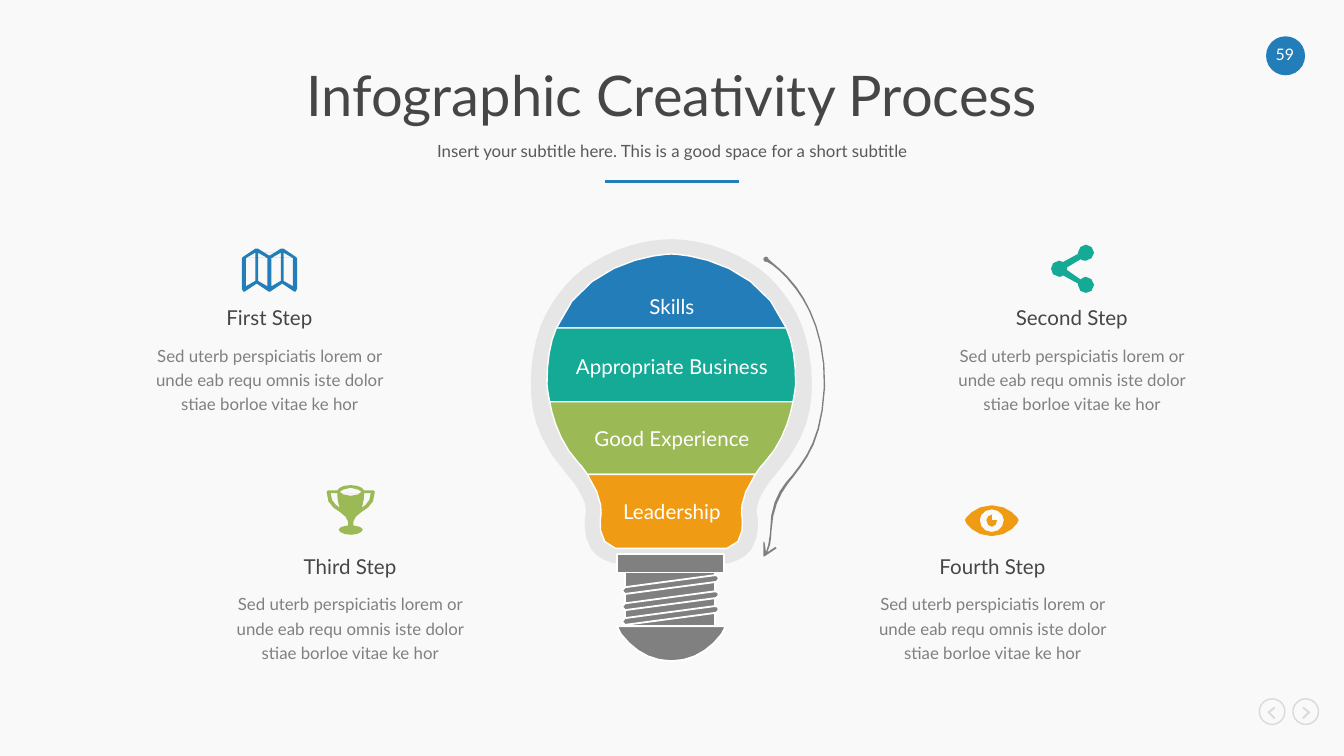
from dataclasses import dataclass
from math import ceil, dist, sqrt

from lxml.etree import SubElement
from pptx import Presentation
from pptx.dml.color import RGBColor
from pptx.enum.shapes import MSO_CONNECTOR, MSO_SHAPE
from pptx.enum.text import MSO_ANCHOR, MSO_AUTO_SIZE, PP_ALIGN
from pptx.oxml.ns import qn
from pptx.util import Inches, Pt


@dataclass(frozen=True)
class Theme:
    font: str = "Lato"
    paper: str = "F9F9F9"
    white: str = "FFFFFF"
    heading: str = "464646"
    subtitle: str = "595959"
    gray: str = "808080"
    halo: str = "E6E6E6"
    nav: str = "D9D9D9"
    blue: str = "237DB9"
    teal: str = "14AA96"
    green: str = "9BB955"
    orange: str = "F09B14"
    title_size: float = 30
    label_size: float = 11
    body_size: float = 9
    page_size: float = 8.5


theme = Theme()
WIDTH, HEIGHT = 10, 10 * 9 / 16
CENTER = WIDTH / 2

deck = Presentation()
deck.slide_width, deck.slide_height = Inches(WIDTH), Inches(HEIGHT)
slide = deck.slides.add_slide(deck.slide_layouts[0])
shapes = slide.shapes
slide.background.fill.solid()
slide.background.fill.fore_color.rgb = RGBColor.from_string(theme.paper)


def write(text, box, size, color, leading=None, holder=None):
    """Centre text in box (inches), in a new text box or in a placeholder."""
    left, top, width, height = map(Inches, box)
    target = holder or shapes.add_textbox(left, top, width, height)
    target.left, target.top, target.width, target.height = left, top, width, height
    frame = target.text_frame
    frame.word_wrap = True
    frame.auto_size = MSO_AUTO_SIZE.NONE if holder else MSO_AUTO_SIZE.SHAPE_TO_FIT_TEXT
    frame.vertical_anchor = MSO_ANCHOR.MIDDLE if holder else MSO_ANCHOR.TOP
    frame.margin_left = frame.margin_top = frame.margin_right = frame.margin_bottom = 0
    frame.text = text
    paragraph = frame.paragraphs[0]
    paragraph.alignment = PP_ALIGN.CENTER
    paragraph.space_before = Pt(0)
    if leading:
        paragraph.line_spacing = leading
        paragraph.space_after = Pt(0 if holder else 12)
    paragraph.font.name, paragraph.font.size = theme.font, Pt(size)
    paragraph.font.color.rgb = RGBColor.from_string(color)


def draw(contours, fill, border=None, axis=None):
    """Draw contours of points (x, y) and cubic curves (x1, y1, x2, y2, x, y).

    With an axis, each contour is a left half and is completed by its mirror image.
    """
    builder = None
    for contour in contours:
        points = [contour[0]]
        for segment in contour[1:]:
            if len(segment) == 2:
                points.append(segment)
                continue
            knots = [points[-1], segment[:2], segment[2:4], segment[4:]]
            steps = ceil(6 * sqrt(sum(map(dist, knots, knots[1:]))))
            for t in (step / steps for step in range(1, steps + 1)):
                weights = ((1 - t) ** 3, 3 * t * (1 - t) ** 2, 3 * t * t * (1 - t), t ** 3)
                points.append(tuple(sum(w * k[i] for w, k in zip(weights, knots)) for i in (0, 1)))
        if axis:
            points += [(2 * axis - x, y) for x, y in reversed(points)]
        vertices = [(Inches(x), Inches(y)) for x, y in points]
        if builder is None:
            builder = shapes.build_freeform(*vertices[0], scale=1.0)
        else:
            builder.move_to(*vertices[0])
        builder.add_line_segments(vertices[1:], close=True)
    shape = builder.convert_to_shape()
    shape.shadow.inherit = False
    shape.fill.solid()
    shape.fill.fore_color.rgb = RGBColor.from_string(fill)
    if border:
        shape.line.color.rgb = RGBColor.from_string(theme.white)
        shape.line.width = Pt(border)
    else:
        shape.line.fill.background()


# Heading
MARGIN = 0.65
write("Infographic Creativity Process", (MARGIN, 0.48, WIDTH - 2 * MARGIN, 0.5),
      theme.title_size, theme.heading, 0.9, shapes.title)
write("Insert your subtitle here. This is a good space for a short subtitle",
      (MARGIN, 1.01, WIDTH - 2 * MARGIN, 0.25), theme.body_size, theme.subtitle, 0.9,
      slide.placeholders[1])
rule = shapes.add_connector(MSO_CONNECTOR.STRAIGHT, Inches(CENTER - 0.5), Inches(1.35),
                            Inches(CENTER + 0.5), Inches(1.35))
rule.line.color.rgb = RGBColor.from_string(theme.blue)
rule.line.width = Pt(1.5)
SubElement(rule._element.spPr, qn("a:effectLst"))

# Steps
TEXT_WIDTH = 1.95
ROWS = (2.26, 4.11)
for name, left, top in (("First", 1.03, ROWS[0]), ("Third", 1.63, ROWS[1]),
                        ("Second", 7, ROWS[0]), ("Fourth", 6.41, ROWS[1])):
    write(f"{name} Step", (left, top, TEXT_WIDTH, 0.2), theme.label_size, theme.heading, Pt(14))
    write("Sed uterb perspiciatis lorem or unde eab requ omnis iste dolor stiae borloe vitae ke hor",
          (left, top + 0.28, TEXT_WIDTH, 0.55), theme.body_size, theme.gray, Pt(13))

# Bulb
BULB_AXIS = 4.995
halo = [(4.99, 1.78), (4.89, 1.78, 4.78, 1.8, 4.68, 1.83), (4.55, 1.87, 4.44, 1.93, 4.34, 2),
        (4.22, 2.09, 4.13, 2.21, 4.06, 2.34), (3.99, 2.48, 3.95, 2.66, 3.95, 2.85),
        (3.95, 3.03, 3.97, 3.24, 4.21, 3.52), (4.3, 3.62, 4.33, 3.69, 4.35, 3.74),
        (4.36, 3.78, 4.36, 3.81, 4.36, 3.81), (4.35, 3.85, 4.33, 3.98, 4.4, 4.09),
        (4.44, 4.14, 4.49, 4.17, 4.56, 4.19)]
draw([halo], theme.halo, axis=BULB_AXIS)
bands = (
    ("Skills", 2.18, theme.blue, [(4.99, 1.89), (4.99, 1.89, 4.36, 1.9, 4.14, 2.44)]),
    ("Appropriate Business", 2.62, theme.teal,
     [(4.14, 2.44), (4.09, 2.55, 4.07, 2.69, 4.07, 2.85), (4.07, 2.85, 4.07, 2.9, 4.09, 2.99)]),
    ("Good Experience", 3.16, theme.green,
     [(4.09, 2.99), (4.11, 3.11, 4.17, 3.3, 4.3, 3.44), (4.33, 3.47, 4.35, 3.5, 4.37, 3.53)]),
    ("Leadership", 3.7, theme.orange,
     [(4.37, 3.53), (4.5, 3.72, 4.47, 3.84, 4.47, 3.84), (4.47, 3.84, 4.43, 4.05, 4.58, 4.08)]),
)
for label, top, color, half in bands:
    draw([half], color, 0.75, BULB_AXIS)
    write(label, (CENTER - 0.78, top, 1.56, 0.2), theme.label_size, theme.white, Pt(14))

# Page badge, navigation rings and plain parts of the bulb's socket
for preset, box, fill, border, weight in (
    (MSO_SHAPE.OVAL, (9.42, 0.27, 0.29, 0.29), theme.blue, None, 0),
    (MSO_SHAPE.OVAL, (9.37, 5.2, 0.19, 0.19), None, theme.nav, 0.75),
    (MSO_SHAPE.OVAL, (9.62, 5.2, 0.19, 0.19), None, theme.nav, 0.75),
    (MSO_SHAPE.RECTANGLE, (4.59, 4.12, 0.8, 0.14), theme.gray, theme.white, 1),
    (MSO_SHAPE.RECTANGLE, (4.65, 4.26, 0.67, 0.4), theme.gray, theme.white, 1),
):
    part = shapes.add_shape(preset, *map(Inches, box))
    part.shadow.inherit = False
    for paint, color in ((part.fill, fill), (part.line.fill, border)):
        if color:
            paint.solid()
            paint.fore_color.rgb = RGBColor.from_string(color)
        else:
            paint.background()
    if border:
        part.line.width = Pt(weight)
write("59", (9.44, 0.33, 0.24, 0.14), theme.page_size, theme.white)
previous = [(9.48, 5.26), (9.49, 5.27), (9.45, 5.3), (9.49, 5.34), (9.48, 5.35), (9.43, 5.3)]
draw([previous], theme.nav)
draw([[(2 * 9.59 - x, y) for x, y in previous]], theme.nav)

# Thread and tip of the socket
for drop in (0, 0.12, 0.23):
    draw([[(4.65, 4.42 + drop), (4.62, 4.42 + drop, 4.62, 4.37 + drop, 4.65, 4.37 + drop),
           (5.32, 4.28 + drop), (5.35, 4.27 + drop, 5.36, 4.32 + drop, 5.33, 4.33 + drop)]],
         theme.gray, 1)
draw([[(4.59, 4.66), (4.62, 4.72), (4.71, 4.84, 4.84, 4.92, 4.99, 4.92)]], theme.gray, 1, BULB_AXIS)

# Arrow along the bulb
draw([[(5.93, 2.14), (5.84, 2.02, 5.75, 1.96, 5.72, 1.93), (5.72, 1.92, 5.71, 1.91, 5.7, 1.91),
       (5.69, 1.91, 5.68, 1.92, 5.68, 1.93), (5.68, 1.94, 5.69, 1.95, 5.7, 1.95), (5.71, 1.95),
       (5.75, 1.97, 5.83, 2.03, 5.92, 2.15), (6.02, 2.28, 6.14, 2.52, 6.13, 2.88),
       (6.11, 3.26, 6, 3.4, 5.9, 3.53), (5.81, 3.63, 5.73, 3.73, 5.73, 3.96),
       (5.73, 3.96, 5.72, 4.07, 5.7, 4.11), (5.69, 4.04), (5.68, 4.03), (5.68, 4.14),
       (5.69, 4.14), (5.78, 4.08), (5.77, 4.07), (5.71, 4.11),
       (5.74, 4.06, 5.74, 3.97, 5.74, 3.96), (5.75, 3.74, 5.83, 3.64, 5.91, 3.54),
       (6.01, 3.41, 6.12, 3.27, 6.14, 2.88), (6.15, 2.52, 6.03, 2.28, 5.93, 2.14)]], theme.gray)

# Icons: map, share, trophy, eye
draw([[(2, 1.9), (1.92, 1.85), (1.9, 1.85), (1.81, 1.91), (1.8, 1.92), (1.8, 2.15), (1.81, 2.17),
       (1.82, 2.17), (1.91, 2.11), (2, 2.17)],
      [(1.83, 1.92), (1.9, 1.88), (1.9, 2.09), (1.83, 2.13), (1.83, 1.92)],
      [(1.92, 1.88), (1.99, 1.92), (1.99, 2.13), (1.92, 2.09), (1.92, 1.88)]],
     theme.blue, axis=2.005)
draw([[(8.14, 2.12), (8.14, 2.16, 8.11, 2.18, 8.08, 2.18), (8.05, 2.18, 8.02, 2.16, 8.02, 2.12),
       (8.02, 2.11), (7.91, 2.05), (7.9, 2.06, 7.89, 2.06, 7.88, 2.06),
       (7.84, 2.06, 7.82, 2.03, 7.82, 2), (7.82, 1.97, 7.84, 1.94, 7.88, 1.94),
       (7.89, 1.94, 7.9, 1.95, 7.91, 1.95), (8.02, 1.89), (8.02, 1.88),
       (8.02, 1.85, 8.05, 1.82, 8.08, 1.82), (8.11, 1.82, 8.14, 1.85, 8.14, 1.88),
       (8.14, 1.91, 8.11, 1.94, 8.08, 1.94), (8.07, 1.94, 8.05, 1.94, 8.04, 1.93),
       (7.94, 1.99), (7.94, 2.01), (8.04, 2.08), (8.05, 2.07, 8.07, 2.06, 8.08, 2.06),
       (8.11, 2.06, 8.14, 2.09, 8.14, 2.12)]], theme.teal)
draw([[(2.61, 3.98), (2.56, 3.98, 2.52, 3.96, 2.52, 3.94), (2.52, 3.93, 2.55, 3.91, 2.59, 3.91),
       (2.59, 3.88), (2.59, 3.85, 2.56, 3.84, 2.53, 3.81), (2.48, 3.78, 2.43, 3.75, 2.43, 3.66),
       (2.44, 3.65), (2.51, 3.65), (2.52, 3.63, 2.55, 3.61, 2.61, 3.61)],
      [(2.51, 3.67), (2.46, 3.67), (2.46, 3.73, 2.5, 3.76, 2.53, 3.78),
       (2.52, 3.76, 2.51, 3.72, 2.51, 3.67)],
      [(2.61, 3.63), (2.56, 3.63, 2.53, 3.66, 2.53, 3.66), (2.53, 3.67, 2.56, 3.69, 2.61, 3.69)]],
     theme.green, axis=2.61)
draw([[(7.38, 3.99), (7.25, 3.99, 7.18, 3.89, 7.18, 3.87), (7.18, 3.86, 7.25, 3.76, 7.38, 3.76)],
      [(7.38, 3.79), (7.33, 3.79, 7.29, 3.83, 7.29, 3.87), (7.29, 3.92, 7.33, 3.96, 7.38, 3.96)],
      [(7.38, 3.83), (7.36, 3.83, 7.34, 3.85, 7.34, 3.87), (7.34, 3.9, 7.36, 3.92, 7.38, 3.92)]],
     theme.orange, axis=7.38)
draw([[(7.38, 3.83), (7.43, 3.83), (7.43, 3.87), (7.38, 3.87)]], theme.white)

deck.save("out.pptx")
